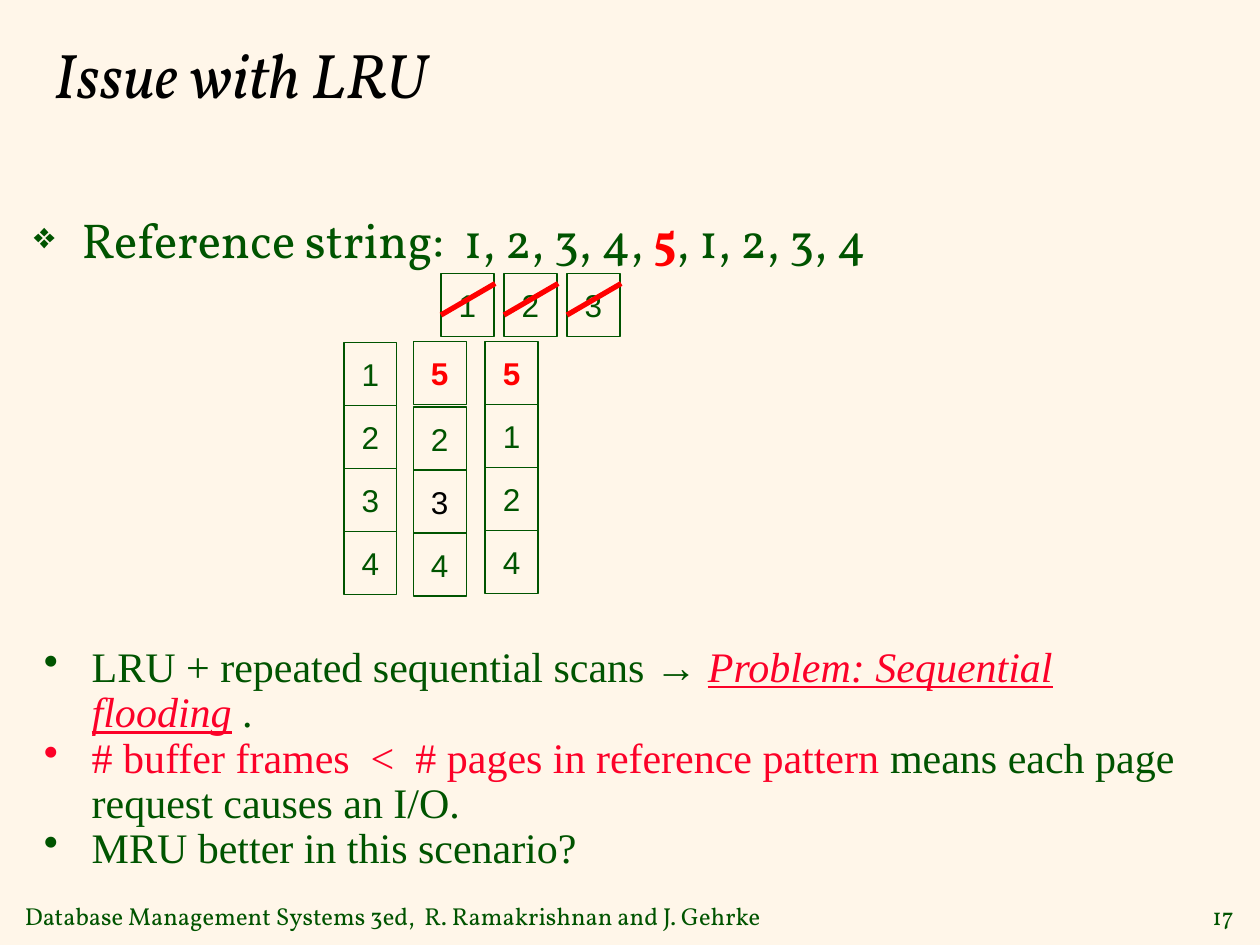
from lxml import etree
from pptx import Presentation
from pptx import util as u
from pptx.dml.color import RGBColor
from pptx.enum import shapes, text
from pptx.oxml import ns

COLORS = {"cream": "FFF6E9", "green": "005400", "black": "000000",
          "red": "FF0000", "crimson": "FC0128"}
CELL_W, CELL_H = 0.42, 0.5
FRAMES = [  # left, top, pages from top to bottom
    (2.73, 2.72, "1234"),
    (3.85, 2.71, "5124"),
]
EVICTED = [(3.5, "1"), (4, "2"), (4.5, "3")]


def rgb(name):
    return RGBColor.from_string(COLORS[name])


def add_run(p, words, font, size, color="green", **styles):
    r = p.add_run()
    r.text = words
    formats = {"name": font, "size": u.Pt(size), **styles}
    for key, value in formats.items():
        setattr(r.font, key, value)
    r.font.color.rgb = rgb(color)


def add_bullet(p, char, left, color=None, percent=None):
    """Give a paragraph a bullet with a 0.38 inch hanging indent."""
    pPr = p._p.get_or_add_pPr()
    pPr.set("marL", str(u.Inches(left)))
    pPr.set("indent", str(u.Inches(-0.38)))
    if color:
        clr = etree.SubElement(pPr, ns.qn("a:buClr"))
        etree.SubElement(clr, ns.qn("a:srgbClr"), val=COLORS[color])
    if percent:
        etree.SubElement(pPr, ns.qn("a:buSzPct"), val=str(percent * 1000))
    etree.SubElement(pPr, ns.qn("a:buChar"), char=char)
    p.line_spacing = 0.9


def add_box(s, left, top, width, height, anchor="TOP", wrap=True):
    box = s.shapes.add_textbox(*map(u.Inches, (left, top, width, height)))
    tf = box.text_frame
    tf.word_wrap = wrap
    tf.vertical_anchor = getattr(text.MSO_ANCHOR, anchor)
    return tf


def add_cell(s, left, top, page, color="green"):
    """Draw one buffer frame; page 5 is emphasised."""
    sp = s.shapes.add_shape(shapes.MSO_SHAPE.RECTANGLE, u.Inches(left),
                            u.Inches(top), u.Inches(CELL_W), u.Inches(CELL_H))
    sp.shadow.inherit = False
    sp.fill.solid()
    sp.fill.fore_color.rgb = rgb("cream")
    sp.line.color.rgb = rgb("green")
    sp.line.width = u.Pt(0.75)
    tf = sp.text_frame
    tf.word_wrap = False
    tf.vertical_anchor = text.MSO_ANCHOR.MIDDLE
    p = tf.paragraphs[0]
    p.alignment = text.PP_ALIGN.CENTER
    newest = page == "5"
    add_run(p, page, "Arial", 18, "red" if newest else color, bold=newest)


def add_column(s, left, top, pages):
    for i, page in enumerate(pages):
        add_cell(s, left, top + i * CELL_H, page)


def add_strike(s, left):
    line = s.shapes.add_connector(
        shapes.MSO_CONNECTOR.STRAIGHT,
        *map(u.Inches, (left, 2.5, left + 0.43, 2.25)))
    line.line.color.rgb = rgb("red")
    line.line.width = u.Pt(3)
    etree.SubElement(line._element.spPr, ns.qn("a:effectLst"))


def add_headings(s):
    tf = add_box(s, 0.33, 0.25, 9.17, 0.67, "MIDDLE")
    add_run(tf.paragraphs[0], "Issue with LRU", "Vollkorn", 36, "black", italic=True)

    p = add_box(s, 0.17, 1.67, 9.17, 5.67).paragraphs[0]
    add_bullet(p, "❖", 0.38, "green", 75)
    add_run(p, "Reference string:  1, 2, 3, 4, ", "Vollkorn", 28)
    add_run(p, "5", "Vollkorn", 28, "red", bold=True)
    add_run(p, ", 1, 2, 3, 4", "Vollkorn", 28)


def add_conclusions(s):
    points = [
        [("LRU + repeated sequential scans → ", "green", {}),
         ("Problem: Sequential flooding", "crimson",
          {"italic": True, "underline": True}),
         (" .", "green", {})],
        [("# buffer frames  <  # pages in reference pattern ", "crimson", {}),
         ("means each page request causes an I/O.", "green", {})],
        [("MRU better in this scenario?", "green", {})],
    ]
    tf = add_box(s, -0.25, 5.08, 10, 1.92)
    for i, runs in enumerate(points):
        p = tf.add_paragraph() if i else tf.paragraphs[0]
        p.level = 1
        add_bullet(p, "•", 0.88)
        for words, color, styles in runs:
            add_run(p, words, "Times New Roman", 24, color, **styles)


def add_footer(s):
    tf = add_box(s, 0.1, 7.1, 6.13, 0.33, "MIDDLE", wrap=False)
    add_run(tf.paragraphs[0],
            "Database Management Systems 3ed,  R. Ramakrishnan and J. Gehrke",
            "Vollkorn", 14)
    tf = add_box(s, 9.45, 7.1, 0.44, 0.33, "MIDDLE", wrap=False)
    tf.paragraphs[0].alignment = text.PP_ALIGN.RIGHT
    add_run(tf.paragraphs[0], "17", "Vollkorn", 14)


def main():
    prs = Presentation()
    prs.slide_width, prs.slide_height = u.Inches(10), u.Inches(7.5)
    s = prs.slides.add_slide(prs.slide_layouts[6])
    s.background.fill.solid()
    s.background.fill.fore_color.rgb = rgb("cream")

    add_footer(s)
    add_headings(s)
    for left, top, pages in FRAMES:
        add_column(s, left, top, pages)
    for top, page, color in [(2.71, "5", "red"), (3.23, "2", "green"),
                             (3.73, "3", "black"), (4.23, "4", "green")]:
        add_cell(s, 3.28, top, page, color)
    add_conclusions(s)
    for left, page in EVICTED:
        add_cell(s, left, 2.17, page)
        add_strike(s, left)
    prs.save("out.pptx")


if __name__ == "__main__":
    main()
